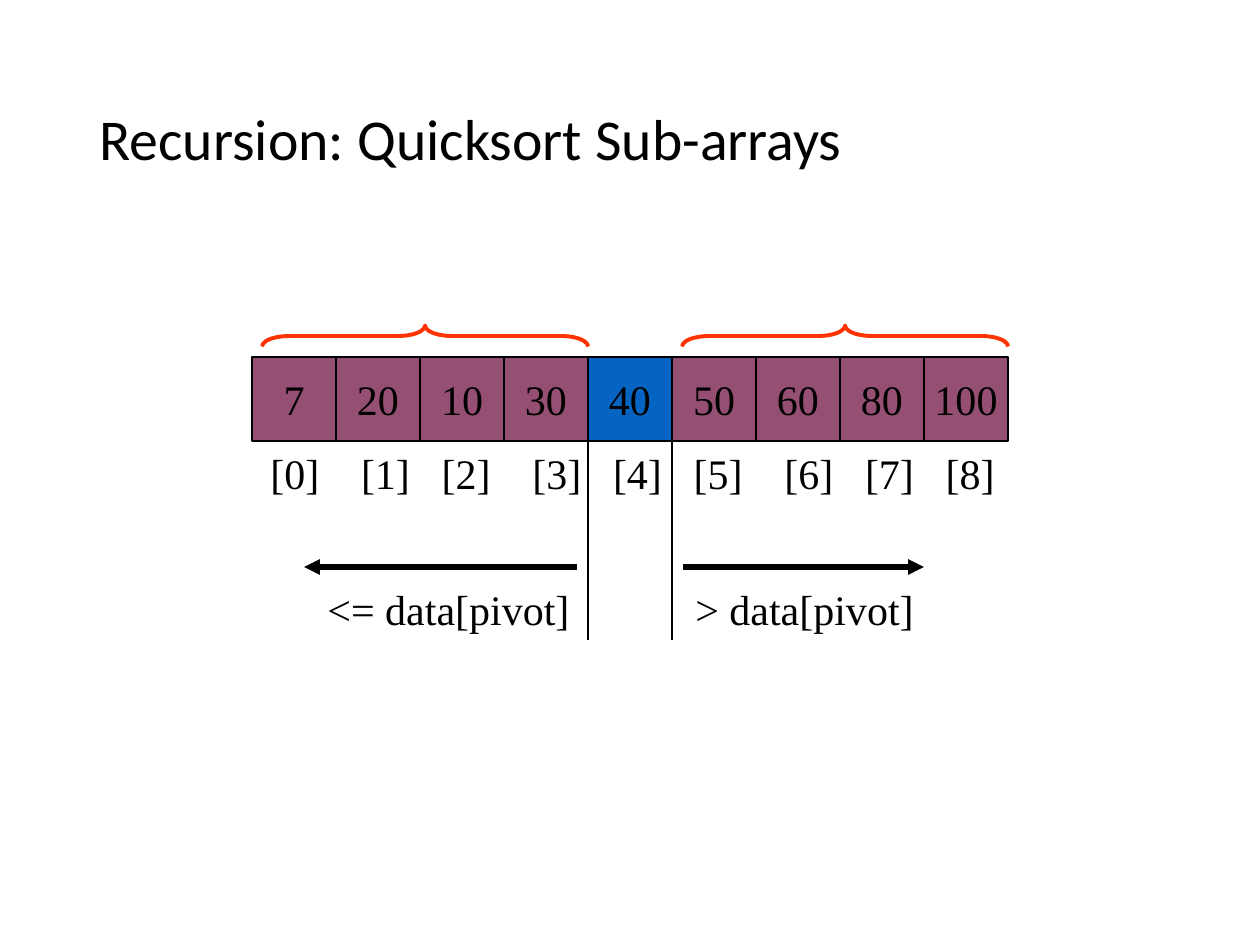
import dataclasses
import itertools

import lxml.etree
import pptx
import pptx.dml.color
import pptx.enum.shapes
import pptx.enum.text
import pptx.oxml.ns
import pptx.util

COLUMNS = 15
CELL = 10 / COLUMNS
FIRST_COLUMN, ARRAY_ROW = 3, 4.25
VALUES = (7, 20, 10, 30, 40, 50, 60, 80, 100)
PIVOT = 4
INDEX_STEPS = (0.72, 0.64, 0.72, 0.64, 0.64, 0.72, 0.64, 0.64)
BLACK, PLUM, BLUE, ORANGE = "000000", "954F72", "0563C1", "FF3300"


@dataclasses.dataclass(frozen=True)
class Line:
    """A straight line between two grid points."""

    start: tuple[float, float]
    end: tuple[float, float]
    weight: float
    arrow: bool


@dataclasses.dataclass(frozen=True)
class Label:
    """A text label placed on the grid."""

    text: str
    column: float
    row: float
    width: float


LINES = (
    Line((7, 4.25), (7, 7.62), 0.75, False),
    Line((8, 4.25), (8, 7.62), 0.75, False),
    Line((6.87, 6.75), (3.62, 6.75), 3, True),
    Line((8.13, 6.75), (11, 6.75), 3, True),
)
LABELS = (
    Label("<= data[pivot]", 3.75, 6.87, 3.18),
    Label("> data[pivot]", 8.13, 6.87, 2.9),
)
BRACE_CENTRES = (5.06, 10.06)


def grid(cells: float) -> int:
    """Turn a number of columns or rows into a length."""
    return pptx.util.Inches(cells * CELL)


def colour(value: str) -> pptx.dml.color.RGBColor:
    """Return the colour of a hex string."""
    return pptx.dml.color.RGBColor.from_string(value)


def format_text(paragraph, size: float, font_name: str) -> None:
    """Set the font of every run in a paragraph."""
    for run in paragraph.runs:
        run.font.size = pptx.util.Pt(size)
        run.font.name = font_name
        run.font.color.rgb = colour(BLACK)


def set_line(shape, value: str, weight: float) -> None:
    """Set the outline of a shape or connector."""
    shape.line.color.rgb = colour(value)
    shape.line.width = pptx.util.Pt(weight)


def add_title(slide, text: str) -> None:
    """Place and format the slide title."""
    title = slide.shapes.title
    title.left, title.top = pptx.util.Inches(0.69), pptx.util.Inches(0.4)
    title.width, title.height = pptx.util.Inches(8.62), pptx.util.Inches(1.45)
    frame = title.text_frame
    frame.text = text
    frame.auto_size = pptx.enum.text.MSO_AUTO_SIZE.NONE
    frame.vertical_anchor = pptx.enum.text.MSO_ANCHOR.MIDDLE
    paragraph = frame.paragraphs[0]
    paragraph.alignment = pptx.enum.text.PP_ALIGN.LEFT
    paragraph.line_spacing = 0.9
    format_text(paragraph, 33, "Calibri")


def add_cell(slide, index: int, value: int) -> None:
    """Draw one array element."""
    shape = slide.shapes.add_shape(
        pptx.enum.shapes.MSO_SHAPE.RECTANGLE,
        grid(FIRST_COLUMN + index), grid(ARRAY_ROW), grid(1), grid(1),
    )
    shape.shadow.inherit = False
    shape.fill.solid()
    shape.fill.fore_color.rgb = colour(BLUE if index == PIVOT else PLUM)
    set_line(shape, BLACK, 0.75)
    frame = shape.text_frame
    frame.text = str(value)
    frame.word_wrap = False
    frame.vertical_anchor = pptx.enum.text.MSO_ANCHOR.MIDDLE
    frame.paragraphs[0].alignment = pptx.enum.text.PP_ALIGN.CENTER
    format_text(frame.paragraphs[0], 24, "Times New Roman")


def add_label(slide, label: Label):
    """Write a label and return its paragraph."""
    box = slide.shapes.add_textbox(
        grid(label.column), grid(label.row), grid(label.width), grid(0.75)
    )
    frame = box.text_frame
    frame.text = label.text
    frame.word_wrap = False
    format_text(frame.paragraphs[0], 24, "Times New Roman")
    return frame.paragraphs[0]


def add_indices(slide) -> None:
    """Write the row of array indices on tab stops."""
    text = "\t".join(f"[{index}]" for index in range(len(VALUES)))
    paragraph = add_label(slide, Label(text, 3.07, 5.25, 8.93))
    properties = paragraph._p.get_or_add_pPr()
    tabs = lxml.etree.SubElement(properties, pptx.oxml.ns.qn("a:tabLst"))
    for position in itertools.accumulate(INDEX_STEPS):
        tab = lxml.etree.SubElement(tabs, pptx.oxml.ns.qn("a:tab"))
        tab.set("pos", str(int(pptx.util.Inches(position))))
        tab.set("algn", "l")


def add_line(slide, line: Line) -> None:
    """Draw a divider or an arrow."""
    connector = slide.shapes.add_connector(
        pptx.enum.shapes.MSO_CONNECTOR.STRAIGHT,
        *map(grid, line.start + line.end),
    )
    set_line(connector, BLACK, line.weight)
    if line.arrow:
        outline = connector.line._get_or_add_ln()
        tail = lxml.etree.SubElement(outline, pptx.oxml.ns.qn("a:tailEnd"))
        tail.set("type", "triangle")
    lxml.etree.SubElement(
        connector._element.spPr, pptx.oxml.ns.qn("a:effectLst")
    )


def add_brace(slide, centre: float) -> None:
    """Draw an upward brace over one sub-array."""
    thickness, span, middle_row = 0.25, 3.88, 4
    brace = slide.shapes.add_shape(
        pptx.enum.shapes.MSO_SHAPE.LEFT_BRACE,
        grid(centre - thickness / 2), grid(middle_row - span / 2),
        grid(thickness), grid(span),
    )
    brace.rotation = 90
    brace.adjustments[0] = 1.29
    brace.shadow.inherit = False
    brace.fill.background()
    set_line(brace, ORANGE, 2.25)


def main() -> None:
    """Build and save the presentation."""
    presentation = pptx.Presentation()
    presentation.slide_width = pptx.util.Inches(10)
    presentation.slide_height = pptx.util.Inches(7.5)
    slide = presentation.slides.add_slide(presentation.slide_layouts[5])
    add_title(slide, "Recursion: Quicksort Sub-arrays")
    for index, value in enumerate(VALUES):
        add_cell(slide, index, value)
    add_indices(slide)
    for line in LINES:
        add_line(slide, line)
    for label in LABELS:
        add_label(slide, label)
    for centre in BRACE_CENTRES:
        add_brace(slide, centre)
    presentation.save("out.pptx")


if __name__ == "__main__":
    main()
